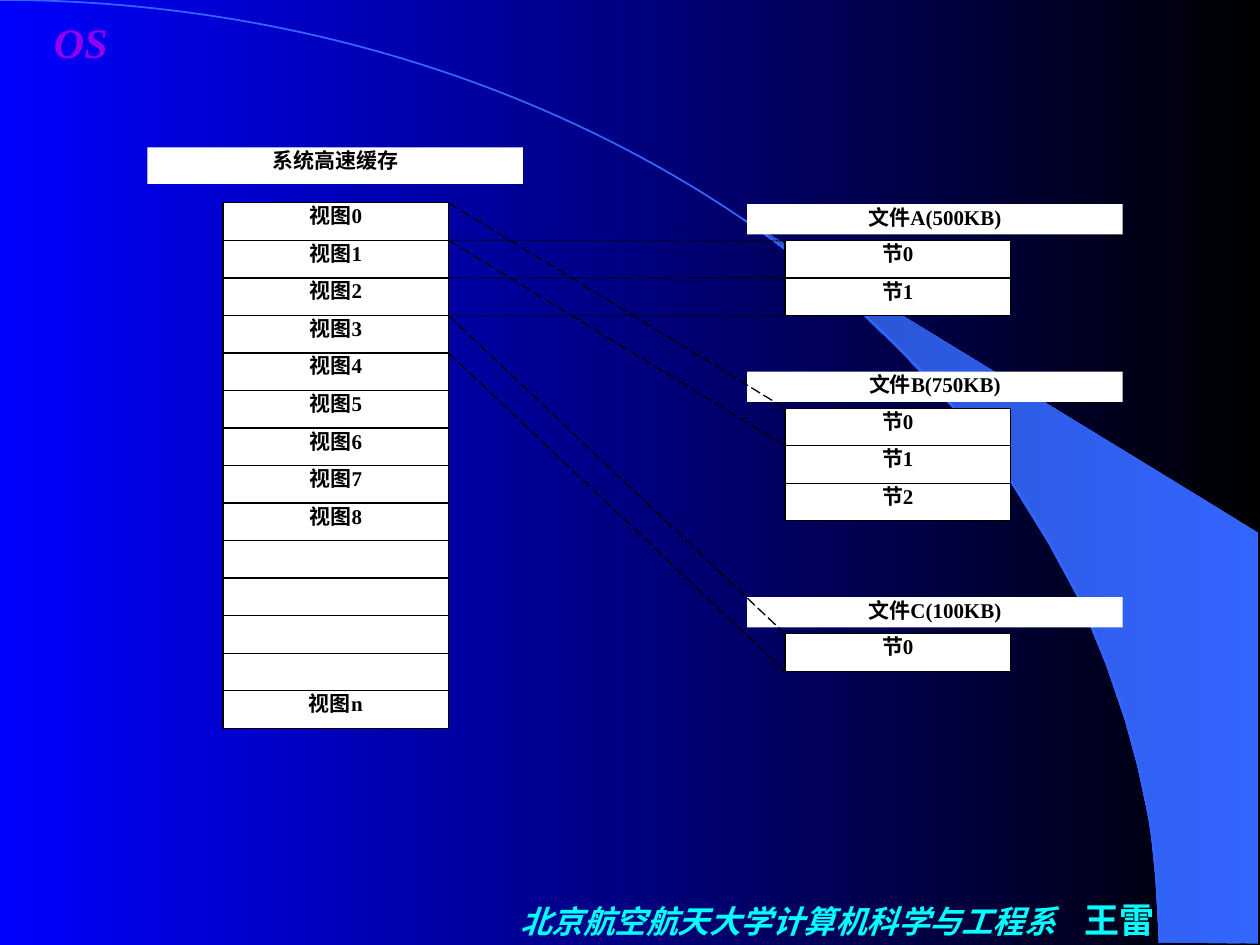
from pptx import Presentation
from pptx.dml.color import RGBColor as RGB
from pptx.enum.dml import MSO_LINE as Dash
from pptx.enum.shapes import MSO_CONNECTOR as Link, MSO_SHAPE as Kind
from pptx.enum.text import MSO_ANCHOR as Anchor, PP_ALIGN as Align
from pptx.oxml.xmlchemy import OxmlElement as Element
from pptx.util import Inches, Pt

COLORS = {"black": "000000", "blue": "0000FF", "white": "FFFFFF",
          "sky": "3366FF", "deep": "2851CB", "cyan": "00FFFF",
          "violet": "9400ED"}
FONT = "Times New Roman"
ROW = 4.17 / 14
CELL_W = 1.79
VIEW_X, VIEW_Y = 1.77, 1.61
FILE_X = 6.23
VIEWS = [f"视图{i}" for i in range(9)] + [""] * 4 + ["视图n"]
# title, top of the first section, number of sections
FILES = [("文件A(500KB)", 1.91, 2),
         ("文件B(750KB)", 3.24, 3),
         ("文件C(100KB)", 5.03, 1)]
# view edge, file, section edge, dash
MAPS = [(1, 0, 0, Dash.ROUND_DOT), (2, 0, 1, Dash.ROUND_DOT),
        (3, 0, 2, Dash.ROUND_DOT), (0, 1, 0, Dash.LONG_DASH),
        (1, 1, 1, Dash.LONG_DASH), (3, 2, 0, Dash.LONG_DASH),
        (4, 2, 1, Dash.LONG_DASH)]
SWOOSH = [(9.2, 7.48), (9.99, 7.49), (9.99, 4.23), (5.89, 1.73), (6.24, 1.99),
          (6.53, 2.22), (6.85, 2.5), (7.16, 2.8), (7.62, 3.3), (8.03, 3.84),
          (8.32, 4.31), (8.58, 4.79), (8.78, 5.28), (8.93, 5.72),
          (9.03, 6.09), (9.13, 6.56), (9.17, 6.96)]


def color(name):
    return RGB.from_string(COLORS[name])


def blend(fill, first, last):
    """Fill with a gradient that runs from right to left."""
    fill.gradient()
    fill.gradient_angle = 180
    for stop, name in zip(fill.gradient_stops, (first, last)):
        stop.color.rgb = color(name)


def style(run, size, italic=False):
    font = run.font
    font.name, font.size = FONT, Pt(size)
    font.bold, font.italic = True, italic
    return font


def add_box(slide, text, x, y, w, h, framed=True):
    box = slide.shapes.add_shape(Kind.RECTANGLE, Inches(x), Inches(y),
                                 Inches(w), Inches(h))
    box.shadow.inherit = False
    box.fill.solid()
    box.fill.fore_color.rgb = color("white")
    if framed:
        box.line.color.rgb = color("black")
        box.line.width = Pt(0.75)
    else:
        box.line.fill.background()
    if text:
        frame = box.text_frame
        frame.margin_top = frame.margin_bottom = 0
        frame.vertical_anchor = Anchor.TOP
        frame.text = text
        para = frame.paragraphs[0]
        para.alignment = Align.CENTER
        style(para.runs[0], 12).color.rgb = color("black")


def add_stack(slide, labels, x, y):
    for i, label in enumerate(labels):
        add_box(slide, label, x, y + i * ROW, CELL_W, ROW)


def add_map(slide, y1, y2, dash):
    line = slide.shapes.add_connector(
        Link.STRAIGHT, Inches(VIEW_X + CELL_W), Inches(y1),
        Inches(FILE_X), Inches(y2))
    line.line.color.rgb = color("black")
    line.line.width = Pt(0.75)
    line.line.dash_style = dash
    line._element.spPr.append(Element("a:effectLst"))


def add_decor(slide):
    blend(slide.background.fill, "black", "blue")
    points = [(Inches(x), Inches(y)) for x, y in SWOOSH]
    path = slide.shapes.build_freeform(*points[0], scale=1.0)
    path.add_line_segments(points[1:], close=True)
    swoosh = path.convert_to_shape()
    swoosh.shadow.inherit = False
    blend(swoosh.fill, "sky", "deep")
    swoosh.line.fill.background()

    arc = slide.shapes.add_shape(Kind.ARC, Inches(-9.2), Inches(0),
                                 Inches(18.4), Inches(14.97))
    arc.shadow.inherit = False
    arc.fill.background()
    arc.line.color.rgb = color("sky")
    arc.line.width = Pt(1)


def add_footer(slide):
    box = slide.shapes.add_textbox(Inches(3.83), Inches(7), Inches(5.53),
                                   Inches(0.5))
    frame = box.text_frame
    frame.word_wrap = True
    frame.vertical_anchor = Anchor.MIDDLE
    frame.margin_left = Inches(0.3)
    frame.margin_top, frame.margin_bottom = Inches(0.1), 0
    para = frame.paragraphs[0]
    tabs, tab = Element("a:tabLst"), Element("a:tab")
    tab.set("pos", str(Inches(4.48)))
    tab.set("algn", "l")
    tabs.append(tab)
    para._p.get_or_add_pPr().append(tabs)
    for text, size, italic in (("北京航空航天大学计算机科学与工程系\t", 18, True),
                               ("王雷", 20, False)):
        run = para.add_run()
        run.text = text
        style(run, size, italic).color.rgb = color("cyan")


def add_mark(slide):
    box = slide.shapes.add_textbox(Inches(0.33), Inches(0.08), Inches(0.83),
                                   Inches(0.42))
    frame = box.text_frame
    frame.word_wrap = False
    frame.text = "OS"
    font = style(frame.paragraphs[0].runs[0], 24, True)
    blend(font.fill, "violet", "blue")


def main():
    deck = Presentation()
    deck.slide_width, deck.slide_height = Inches(10), Inches(7.5)
    slide = deck.slides.add_slide(deck.slide_layouts[6])
    add_decor(slide)
    add_footer(slide)
    add_mark(slide)

    add_box(slide, "系统高速缓存", 1.17, 1.17, 2.98, 0.29, framed=False)
    add_stack(slide, VIEWS, VIEW_X, VIEW_Y)
    for title, top, count in FILES:
        add_box(slide, title, 5.93, top - 0.29, 2.98, 0.24, framed=False)
        add_stack(slide, [f"节{i}" for i in range(count)], FILE_X, top)
    for view, file, part, dash in MAPS:
        add_map(slide, VIEW_Y + view * ROW, FILES[file][1] + part * ROW, dash)
    deck.save("out.pptx")


if __name__ == "__main__":
    main()
